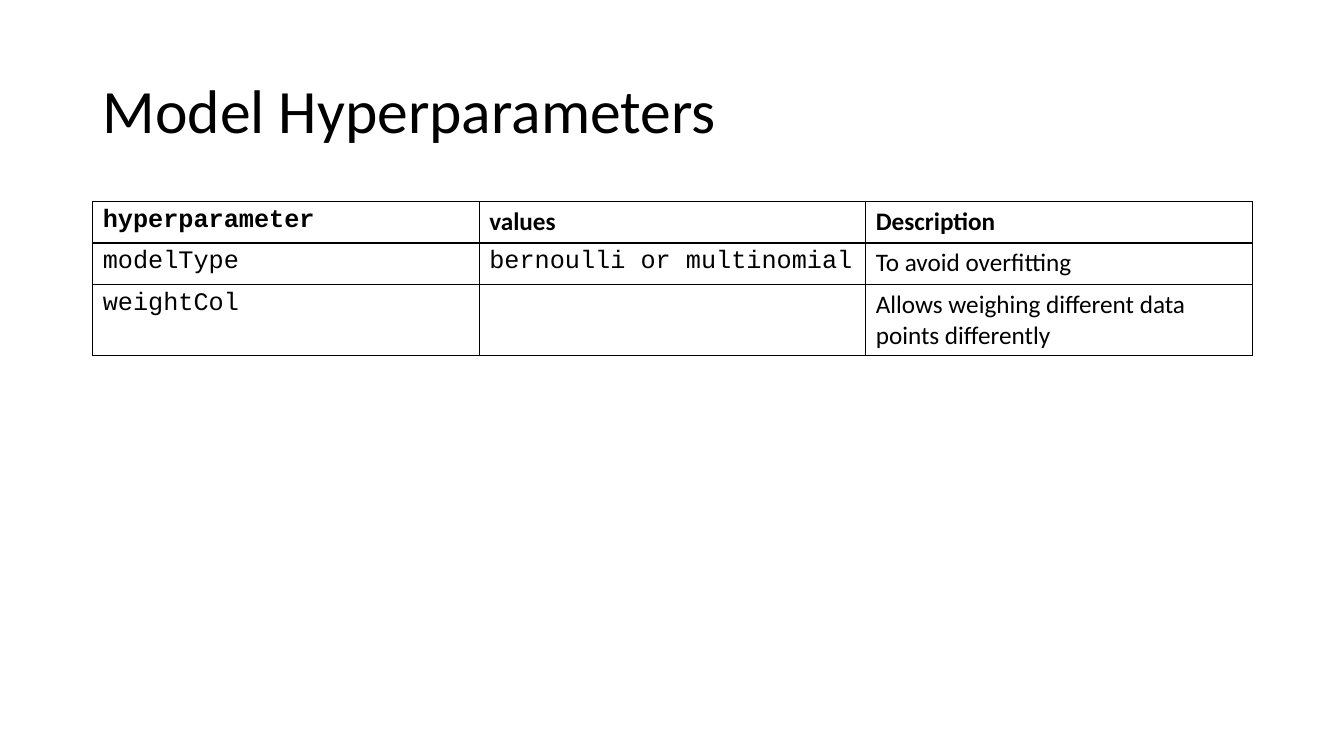
from lxml import etree
from pptx import Presentation
from pptx.dml.color import RGBColor
from pptx.enum.text import MSO_ANCHOR as Anchor, PP_ALIGN as Align
from pptx.oxml.ns import qn
from pptx.util import Inches, Pt

HEADING = "Model Hyperparameters"
HYPERPARAMETERS = [
    ("hyperparameter", "values", "Description"),
    ("modelType", "bernoulli or multinomial", "To avoid overfitting"),
    ("weightCol", "", "Allows weighing different data points differently"),
]
PROSE, CODE = "Calibri", "Courier New"
CODE_CELLS = {(0, 0), (1, 0), (1, 1), (2, 0)}
INK, PAPER = "000000", "FFFFFF"
LEFT, WIDTH = 0.92, 11.5
TITLE_TOP, TITLE_HEIGHT = 0.4, 1.45
TABLE_TOP, ROW_HEIGHTS = 2, (0.41, 0.41, 0.71)


def color(value):
    return RGBColor.from_string(value)


def format_text(paragraph, **formats):
    for target in (paragraph.font, *(run.font for run in paragraph.runs)):
        for attribute, value in formats.items():
            setattr(target, attribute, value)
        target.color.rgb = color(INK)


def add_borders(cell):
    properties = cell._tc.get_or_add_tcPr()
    for index, side in enumerate(("lnL", "lnR", "lnT", "lnB")):
        border = etree.Element(qn(f"a:{side}"), w=str(Pt(1)))
        fill = etree.SubElement(border, qn("a:solidFill"))
        etree.SubElement(fill, qn("a:srgbClr"), val=INK)
        properties.insert(index, border)


deck = Presentation()
deck.slide_width, deck.slide_height = Inches(13.33), Inches(7.5)
slide = deck.slides.add_slide(deck.slide_layouts[5])

title = slide.shapes.title
title.left, title.top = Inches(LEFT), Inches(TITLE_TOP)
title.width, title.height = Inches(WIDTH), Inches(TITLE_HEIGHT)
title.text_frame.text = HEADING
title.text_frame.vertical_anchor = Anchor.MIDDLE
heading = title.text_frame.paragraphs[0]
heading.alignment, heading.line_spacing = Align.LEFT, 0.9
format_text(heading, name=PROSE, size=Pt(44))

table = slide.shapes.add_table(
    len(HYPERPARAMETERS), len(HYPERPARAMETERS[0]),
    Inches(LEFT), Inches(TABLE_TOP), Inches(WIDTH), Inches(sum(ROW_HEIGHTS)),
).table
table.first_row = table.horz_banding = False
for row, height in zip(table.rows, ROW_HEIGHTS):
    row.height = Inches(height)

for r, entries in enumerate(HYPERPARAMETERS):
    for c, entry in enumerate(entries):
        cell = table.cell(r, c)
        cell.text = entry
        cell.fill.solid()
        cell.fill.fore_color.rgb = color(PAPER)
        add_borders(cell)
        font = CODE if (r, c) in CODE_CELLS else PROSE
        format_text(cell.text_frame.paragraphs[0], name=font, size=Pt(18), bold=r == 0)

deck.save("out.pptx")
